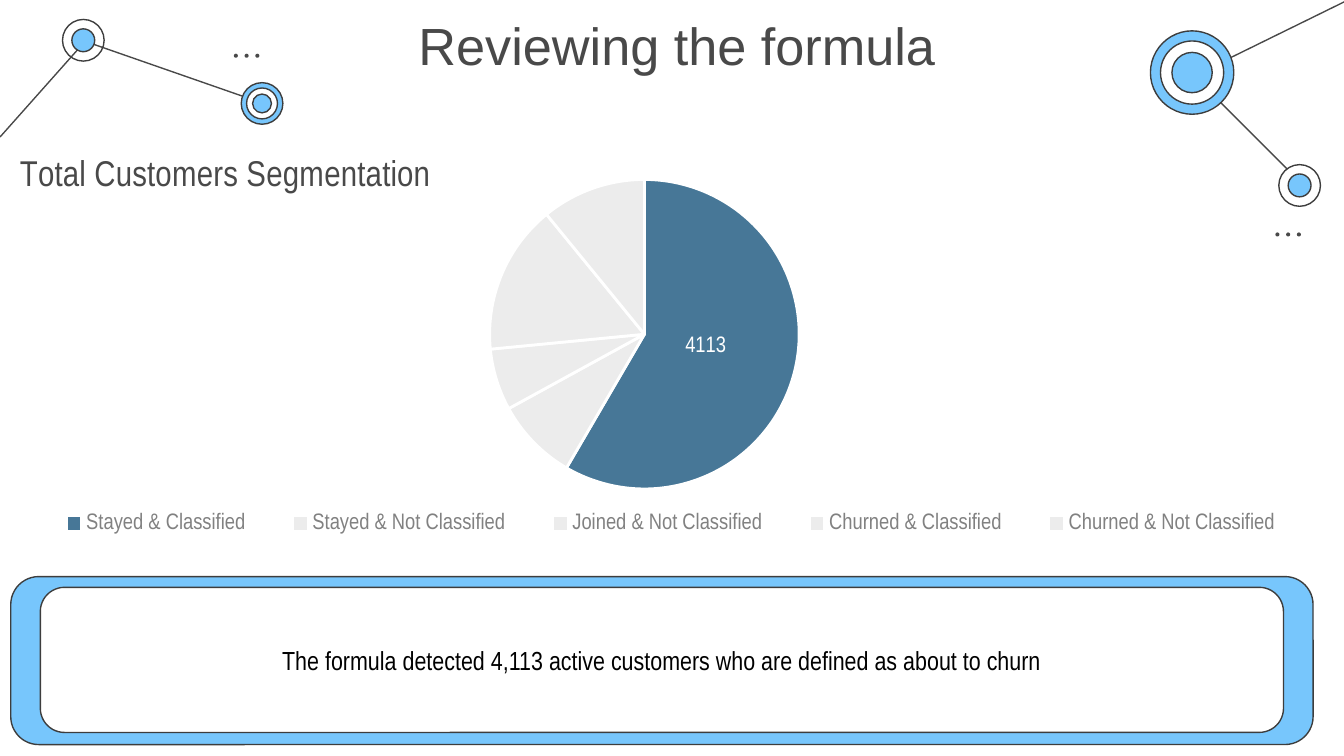
"""Build the slide that reviews the customer segmentation formula."""
from lxml.etree import SubElement
from pptx import Presentation
from pptx.chart.data import CategoryChartData as Data
from pptx.dml.color import RGBColor
from pptx.enum.chart import XL_CHART_TYPE as Chart, XL_LABEL_POSITION as Spot, XL_LEGEND_POSITION as Side
from pptx.enum.shapes import MSO_CONNECTOR as Wire, MSO_SHAPE as Form
from pptx.enum.text import MSO_ANCHOR as Anchor, PP_ALIGN as Align
from pptx.oxml import parse_xml
from pptx.oxml.ns import nsdecls, qn
from pptx.util import Inches, Pt

ink = RGBColor.from_string
SKY, WHITE, DARK, GREY = "77C6FC", "FFFFFF", "3D3D3D", "494949"
NARROW = "Arial Narrow"

deck = Presentation()
deck.slide_width, deck.slide_height = Inches(10), Inches(10) * 9 // 16
cell = deck.slide_width // 100
slide = deck.slides.add_slide(deck.slide_layouts[5])


def put(form, left, top, wide, high, fill, edge=None):
    """Place a shape on the square grid of 100 columns."""
    item = slide.shapes.add_shape(form, *(int(n * cell) for n in (left, top, wide, high)))
    item.shadow.inherit = False
    if fill:
        item.fill.solid()
        item.fill.fore_color.rgb = ink(fill)
    else:
        item.fill.background()
    if edge:
        item.line.color.rgb = ink(edge)
        item.line.width = Pt(0.75)
    else:
        item.line.fill.background()
    return item


def style(font, size, tint, face=NARROW):
    """Set size, face, weight and colour of a font."""
    for key, val in {"size": Pt(size), "name": face, "bold": False}.items():
        setattr(font, key, val)
    font.color.rgb = ink(tint)


for ends in ((96.7, 13.5, 88.7, 5.5), (6.4, 3.1, 19.6, 7.7), (0, 10.2, 6.4, 3), (100.1, 0.1, 89.1, 5.5)):
    wire = slide.shapes.add_connector(Wire.STRAIGHT, *(int(n * cell) for n in ends))
    wire.line.color.rgb = ink(GREY)
    wire.line.width = Pt(0.75)
    SubElement(wire._element.spPr, qn("a:effectLst"))

rings = [
    (6.2, 3, ((3.1, None), (1.7, SKY))),
    (19.5, 7.7, ((3.1, SKY), (2.3, WHITE), (1.4, SKY))),
    (88.7, 5.4, ((6.2, SKY), (4.7, WHITE), (3, SKY))),
    (96.7, 13.8, ((3.1, WHITE), (1.7, SKY))),
]
for mid, row, discs in rings:
    for size, fill in discs:
        put(Form.OVAL, mid - size / 2, row - size / 2, size, size, fill, DARK)

for left, top in ((17.4, 4), (94.9, 17.3)):
    for step in range(3):
        put(Form.OVAL, left + 0.8 * step, top, 0.3, 0.3, GREY)

title = slide.shapes.title
for key, val in {"left": 3, "top": 0, "width": 94.7, "height": 6.3}.items():
    setattr(title, key, int(val * cell))
title.text = "Reviewing the formula"

put(Form.ROUNDED_RECTANGLE, 0.8, 42.9, 96.9, 12.5, SKY, DARK)
note = put(Form.ROUNDED_RECTANGLE, 3, 43.7, 92.5, 10.8, WHITE, DARK)
note.text_frame.text = "The formula detected 4,113 active customers who are defined as about to churn"

for box, anchor, look in ((title, Anchor.TOP, (28, GREY, "Arial")), (note, Anchor.MIDDLE, (14, "000000"))):
    frame = box.text_frame
    sides = dict.fromkeys(("margin_left", "margin_top", "margin_right", "margin_bottom"), cell)
    for key, val in {**sides, "word_wrap": True, "vertical_anchor": anchor}.items():
        setattr(frame, key, val)
    frame.paragraphs[0].alignment = Align.CENTER
    style(frame.paragraphs[0].runs[0].font, *look)

data = Data()
data.categories = ["Stayed & Classified", "Stayed & Not Classified", "Joined & Not Classified",
                   "Churned & Classified", "Churned & Not Classified"]
data.add_series("Series 1", (4113, 607, 454, 1101, 768))
chart = slide.shapes.add_chart(Chart.PIE, 0, int(10.8 * cell), int(99.9 * cell), 32 * cell, data).chart
style(chart.font, 10, DARK, "Arial")

chart.has_title = True
head = chart.chart_title
head.text_frame.text = "Total Customers Segmentation"
style(head.text_frame.paragraphs[0].runs[0].font, 19.2, GREY)
head.include_in_layout = True

chart.has_legend = True
key_box = chart.legend
key_box.position = Side.BOTTOM
key_box.include_in_layout = False
style(key_box.font, 12, "818181")

plot = chart.plots[0]
plot.vary_by_categories = True
pie = plot.series[0]
for spot, tint in enumerate(["477797"] + ["ECECEC"] * 4):
    look = pie.points[spot].format
    look.fill.solid()
    look.fill.fore_color.rgb = ink(tint)
    look.line.color.rgb = ink(WHITE)
    look.line.width = Pt(1.5)
pie.data_labels.show_value = False
label = pie.points[0].data_label
style(label.font, 12, WHITE)
label.position = Spot.CENTER

area = chart._chartSpace.find(".//" + qn("c:plotArea"))
tag = area.find(".//" + qn("c:dLbl"))
inner = '<c:layoutTarget val="inner"/>'
modes = '<c:xMode val="edge"/><c:yMode val="edge"/>'
for node, slot, start, place in (
    (head._element, 1, modes, {"x": 0.01, "y": 0.01}),
    (area, 0, inner + modes, {"x": 0.0, "y": 0.08, "w": 0.96, "h": 0.72}),
    (key_box._element, 1, modes, {"x": 0.02, "y": 0.84, "w": 0.96, "h": 0.08}),
    (tag, 1, "", {"x": -0.01, "y": -0.02}),
):
    for old in node.findall(qn("c:layout")):
        node.remove(old)
    sizes = "".join(f'<c:{key} val="{val}"/>' for key, val in place.items())
    node.insert(slot, parse_xml(
        f'<c:layout {nsdecls("c")}><c:manualLayout>{start}{sizes}</c:manualLayout></c:layout>'))

deck.save("out.pptx")
